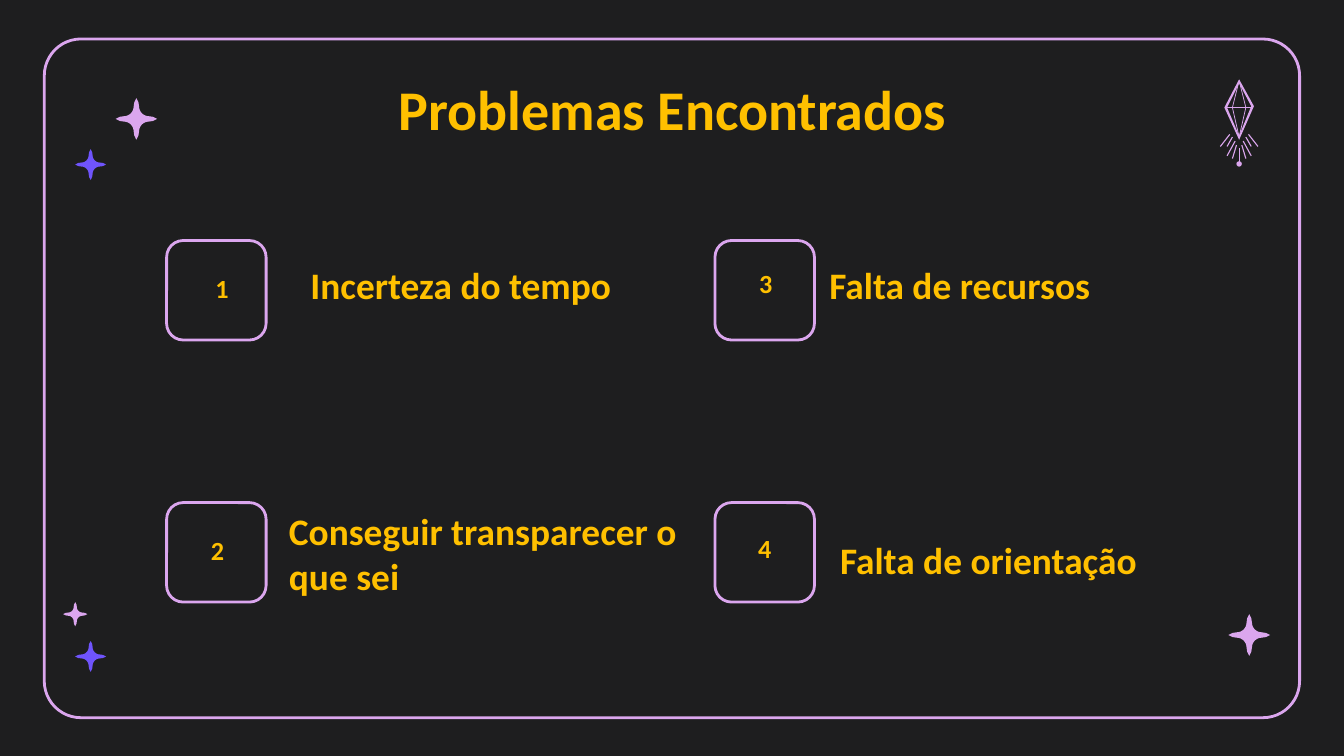
import lxml.etree
import pptx
import pptx.dml.color
import pptx.enum.shapes
import pptx.enum.text
import pptx.oxml.ns
import pptx.util

Inches = pptx.util.Inches
BACKGROUND, LILAC, VIOLET, GOLD = "1E1E1F", "DBA6EE", "6F54FC", "FFC000"
SQUARE = 0.74
COLUMNS, ROWS = (1.24, 5.32), (1.79, 3.74)
PROBLEMS = [
    ("1", "Incerteza do tempo", (0.97, 0, 2.56, 0.65), (0.28, 0.19, 0.18, 0.35)),
    ("2", "Conseguir transparecer o que sei", (0.81, -0.11, 3.19, 0.97), (0.23, 0.19, 0.28, 0.36)),
    ("3", "Falta de recursos", (0.75, 0, 3.33, 0.65), (0.23, 0.15, 0.27, 0.45)),
    ("4", "Falta de orientação", (0.83, 0.1, 2.56, 0.65), (0.2, 0.17, 0.34, 0.41)),
]
STARS = [
    (9.14, 4.57, 0.31, LILAC),
    (0.56, 1.11, 0.23, VIOLET),
    (0.56, 4.77, 0.23, VIOLET),
    (0.47, 4.48, 0.18, LILAC),
    (0.86, 0.73, 0.31, LILAC),
]


def rgb(color):
    """Turn a hex string into a colour."""
    return pptx.dml.color.RGBColor.from_string(color)


def sub(parent, tag, **attributes):
    """Append a DrawingML element to a parent."""
    return lxml.etree.SubElement(parent, pptx.oxml.ns.qn(tag), attributes)


def place(part, left, top, width, height):
    """Move and size a part, in inches."""
    part.left, part.top = Inches(left), Inches(top)
    part.width, part.height = Inches(width), Inches(height)


def write(part, text, size, align):
    """Write one bold golden run and return it."""
    paragraph = part.text_frame.paragraphs[0]
    paragraph.alignment = align
    run = paragraph.add_run()
    run.text = text
    run.font.size, run.font.bold, run.font.name = pptx.util.Pt(size), True, "Calibri"
    run.font.color.rgb = rgb(GOLD)
    return run


def fill_placeholder(holder, box, text, size, align):
    """Place a placeholder and write its text without a bullet."""
    place(holder, *box)
    frame = holder.text_frame
    frame.word_wrap = True
    frame.auto_size = pptx.enum.text.MSO_AUTO_SIZE.NONE
    frame.vertical_anchor = pptx.enum.text.MSO_ANCHOR.MIDDLE
    frame.margin_left = frame.margin_right = frame.margin_top = frame.margin_bottom = Inches(0.1)
    write(holder, text, size, align)
    paragraph = frame.paragraphs[0]
    paragraph.space_before = pptx.util.Pt(0)
    properties = paragraph._p.get_or_add_pPr()
    properties.set("marL", "0")
    properties.set("indent", "0")
    sub(properties, "a:buNone")


def rounded_outline(shapes, box, radius):
    """Draw an unfilled lilac rounded rectangle."""
    outline = shapes.add_shape(
        pptx.enum.shapes.MSO_SHAPE.ROUNDED_RECTANGLE, *[Inches(length) for length in box])
    outline.adjustments[0] = radius
    outline.shadow.inherit = False
    outline.fill.background()
    outline.line.color.rgb = rgb(LILAC)
    outline.line.width = pptx.util.Pt(1.5)


def polygon(shapes, contours, color):
    """Draw a filled outline made of one or more closed contours."""
    contours = [[(Inches(x), Inches(y)) for x, y in contour] for contour in contours]
    builder = shapes.build_freeform(*contours[0][0])
    for index, contour in enumerate(contours):
        if index:
            builder.move_to(*contour[0])
        builder.add_line_segments(contour[1:], close=True)
    figure = builder.convert_to_shape()
    figure.shadow.inherit = False
    figure.fill.solid()
    figure.fill.fore_color.rgb = rgb(color)
    figure.line.fill.background()


def star(shapes, left, top, size, color):
    """Draw a four-pointed sparkle by turning one curved quarter."""
    quarter = [(0, -1), (0.1, -0.8)]
    for step in range(9):
        t = step / 8
        weights = ((1 - t) ** 3, 3 * t * (1 - t) ** 2, 3 * t * t * (1 - t), t ** 3)
        quarter.append((
            sum(w * x for w, x in zip(weights, (0.13, 0.13, 0.34, 0.6))),
            sum(w * y for w, y in zip(weights, (-0.6, -0.34, -0.13, -0.13)))))
    quarter.append((0.8, -0.1))
    points = []
    for _ in range(4):
        points += quarter
        quarter = [(-y, x) for x, y in quarter]
    half = size / 2
    polygon(shapes, [[(left + half * (1 + x), top + half * (1 + y)) for x, y in points]], color)


def gem(shapes, left, top):
    """Draw the faceted gem with its rays and dot as one group."""
    parts = shapes.add_group_shape().shapes
    rim = [(0.14, 0), (0.25, 0.2), (0.14, 0.45), (0.03, 0.21)]
    hollow = [(0.14, 0.03), (0.05, 0.21), (0.14, 0.42), (0.23, 0.2)]
    polygon(parts, [[(left + x, top + y) for x, y in ring] for ring in (rim, hollow)], LILAC)
    facets = [(0.04, 0.21, 0.24, 0.21)]
    facets += [(0.14, y, x, 0.21) for x in (0.09, 0.19) for y in (0.01, 0.43)]
    rays = [(0.07, 0.41, 0, 0.5), (0.09, 0.43, 0.05, 0.5), (0.11, 0.46, 0.05, 0.57),
            (0.12, 0.49, 0.09, 0.59)]
    rays += [(0.28 - x1, y1, 0.28 - x2, y2) for x1, y1, x2, y2 in rays]
    rays.append((0.14, 0.51, 0.14, 0.62))
    for lines, width in ((facets, 0.4), (rays, 0.6)):
        for x1, y1, x2, y2 in lines:
            edge = parts.add_connector(
                pptx.enum.shapes.MSO_CONNECTOR.STRAIGHT,
                Inches(left + x1), Inches(top + y1), Inches(left + x2), Inches(top + y2))
            edge.line.color.rgb = rgb(LILAC)
            edge.line.width = pptx.util.Pt(width)
            sub(edge._element.spPr, "a:effectLst")
    dot = parts.add_shape(
        pptx.enum.shapes.MSO_SHAPE.OVAL,
        Inches(left + 0.12), Inches(top + 0.61), Inches(0.04), Inches(0.04))
    dot.shadow.inherit = False
    dot.fill.solid()
    dot.fill.fore_color.rgb = rgb(LILAC)
    dot.line.fill.background()


def problem(shapes, holder, left, top, number, caption, caption_box, number_box):
    """Draw a numbered square with its caption beside it."""
    rounded_outline(shapes, (left, top, SQUARE, SQUARE), 0.167)
    x, y, width, height = caption_box
    fill_placeholder(holder, (left + x, top + y, width, height), caption, 20,
                     pptx.enum.text.PP_ALIGN.LEFT)
    x, y, width, height = number_box
    label = shapes.add_textbox(
        Inches(left + x), Inches(top + y), Inches(width), Inches(height))
    label.text_frame.word_wrap = False
    run = write(label, number, 14, pptx.enum.text.PP_ALIGN.CENTER)
    properties = run.font._element
    contour = sub(properties, "a:ln", w=str(pptx.util.Pt(1.5)))
    sub(sub(contour, "a:solidFill"), "a:srgbClr", val=BACKGROUND)
    properties.insert(0, contour)


def main():
    """Build and save the slide."""
    deck = pptx.Presentation()
    deck.slide_width = Inches(10)
    deck.slide_height = deck.slide_width * 9 // 16
    slide = deck.slides.add_slide(deck.slide_layouts.get_by_name("Comparison"))
    slide.background.fill.solid()
    slide.background.fill.fore_color.rgb = rgb(BACKGROUND)
    shapes = slide.shapes
    rounded_outline(shapes, (0.33, 0.29, 9.34, 5.05), 0.054)
    gem(shapes, 9.08, 0.59)
    for sparkle in STARS:
        star(shapes, *sparkle)
    fill_placeholder(shapes.title, (0.79, 0.49, 8.43, 0.63), "Problemas Encontrados", 30,
                     pptx.enum.text.PP_ALIGN.CENTER)
    captions = list(slide.placeholders)[1:]
    for index, (holder, details) in enumerate(zip(captions, PROBLEMS)):
        column, row = divmod(index, len(ROWS))
        problem(shapes, holder, COLUMNS[column], ROWS[row], *details)
    deck.save("out.pptx")


if __name__ == "__main__":
    main()
